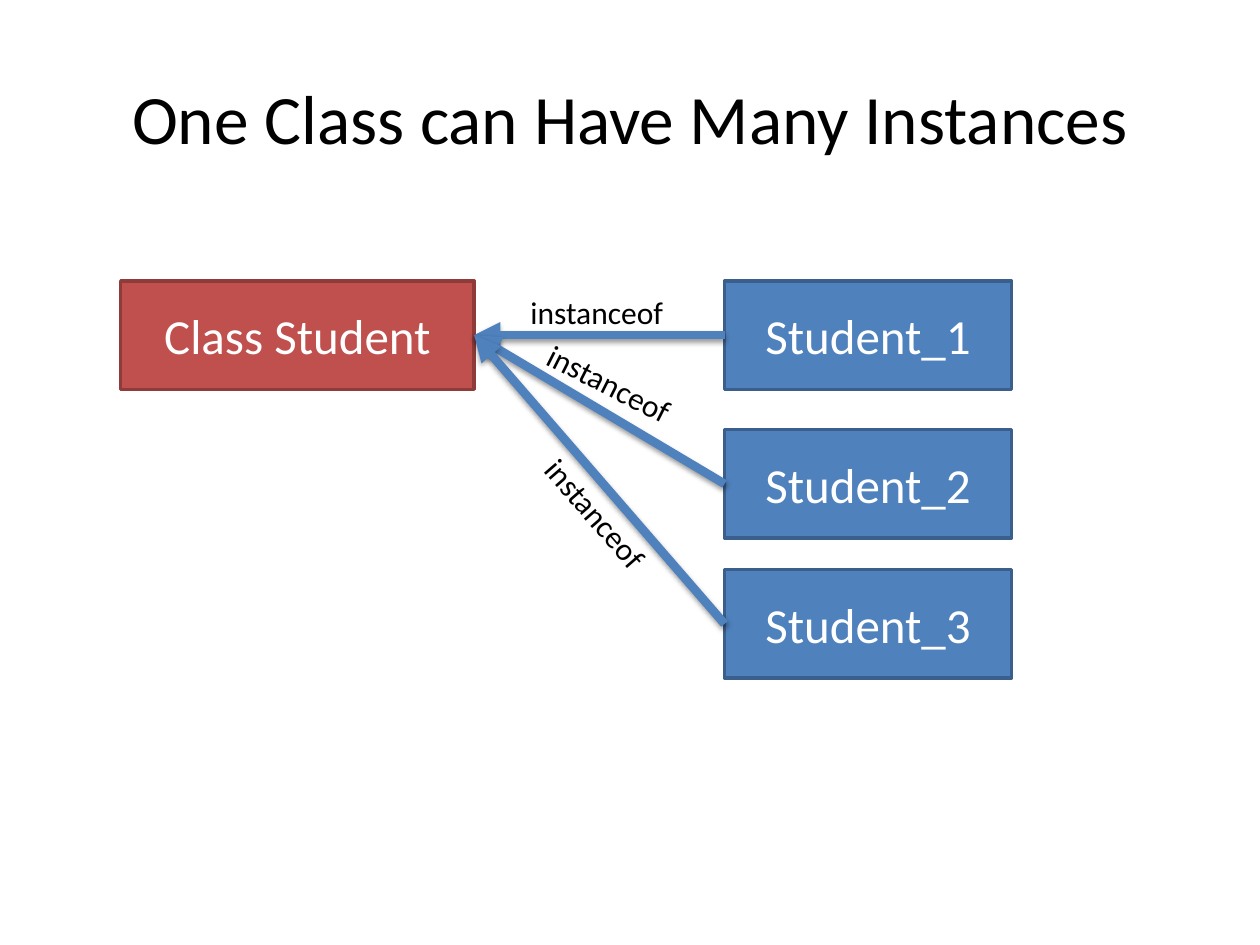
from lxml import etree
from pptx import Presentation
from pptx.dml.color import RGBColor
from pptx.enum.shapes import MSO_CONNECTOR, MSO_SHAPE
from pptx.enum.text import MSO_ANCHOR, MSO_AUTO_SIZE, PP_ALIGN
from pptx.oxml import parse_xml
from pptx.util import Pt

RECT, STRAIGHT = MSO_SHAPE.RECTANGLE, MSO_CONNECTOR.STRAIGHT
CENTER, LEFT, MIDDLE, TOP = PP_ALIGN.CENTER, PP_ALIGN.LEFT, MSO_ANCHOR.MIDDLE, MSO_ANCHOR.TOP
FIT = MSO_AUTO_SIZE.SHAPE_TO_FIT_TEXT
LEFT_SITE, RIGHT_SITE = 1, 3
NS = "http://schemas.openxmlformats.org/drawingml/2006/main"

TITLE = "One Class can Have Many Instances"
CLASS_NAME = "Class Student"
RELATION = "instanceof"
# name, box top, label left, label top, label rotation
INSTANCES = [
    ("Student_1", 160.5, 296, 164, 0),
    ("Student_2", 245.5, 303, 205, 27),
    ("Student_3", 325.5, 295, 279.5, 49),
]
CLASS_LEFT, CLASS_WIDTH = 69, 202
INSTANCE_LEFT, INSTANCE_WIDTH = 414, 164
BOX_HEIGHT = 62
LABEL_WIDTH, LABEL_HEIGHT = 92, 29
RED, RED_EDGE = "C0504D", "8E3B39"
BLUE, BLUE_EDGE = "4F81BD", "3A5F8C"
SHADOW = f"""<a:effectLst xmlns:a="{NS}">
<a:outerShdw blurRad="{Pt(3.1)}" dist="{Pt(1.6)}" dir="5400000" rotWithShape="0">
<a:srgbClr val="000000"><a:alpha val="38000"/></a:srgbClr>
</a:outerShdw></a:effectLst>"""


def rgb(color):
    """Turn a hex string into a colour."""
    return RGBColor.from_string(color)


def write(sp, text, size=18, color="000000", align=LEFT, anchor=TOP, wrap=True):
    """Put formatted text into a shape."""
    tf = sp.text_frame
    tf.word_wrap = wrap
    tf.vertical_anchor = anchor
    p = tf.paragraphs[0]
    p.alignment = align
    r = p.add_run()
    r.text = text
    r.font.name, r.font.size = "Calibri", Pt(size)
    r.font.color.rgb = rgb(color)


def add_box(s, text, left, top, width, fill, edge):
    """Add a labelled box for a class or an instance."""
    sp = s.shapes.add_shape(RECT, Pt(left), Pt(top), Pt(width), Pt(BOX_HEIGHT))
    sp.shadow.inherit = False
    sp.fill.solid()
    sp.fill.fore_color.rgb = rgb(fill)
    sp.line.color.rgb = rgb(edge)
    sp.line.width = Pt(2)
    write(sp, text, size=28, color="FFFFFF", align=CENTER, anchor=MIDDLE)
    return sp


def add_arrow(s, start, end):
    """Connect the left of one box to the right of another."""
    line = s.shapes.add_connector(STRAIGHT, 0, 0, 0, 0)
    line.begin_connect(start, LEFT_SITE)
    line.end_connect(end, RIGHT_SITE)
    line.line.color.rgb = rgb(BLUE)
    line.line.width = Pt(5)
    etree.SubElement(line.line._get_or_add_ln(), f"{{{NS}}}tailEnd", type="triangle")
    line._element.spPr.append(parse_xml(SHADOW))


def add_label(s, text, left, top, rotation):
    """Add a rotated label beside an arrow."""
    sp = s.shapes.add_textbox(Pt(left), Pt(top), Pt(LABEL_WIDTH), Pt(LABEL_HEIGHT))
    sp.rotation = rotation
    write(sp, text, wrap=False)
    sp.text_frame.auto_size = FIT


prs = Presentation()
prs.slide_width, prs.slide_height = Pt(720), Pt(540)
s = prs.slides.add_slide(prs.slide_layouts[5])

title = s.shapes.title
title.left, title.top, title.width, title.height = Pt(36), Pt(21.6), Pt(648), Pt(90)
write(title, TITLE, size=39.6, align=CENTER, anchor=MIDDLE)

class_box = add_box(s, CLASS_NAME, CLASS_LEFT, INSTANCES[0][1], CLASS_WIDTH, RED, RED_EDGE)
instance_boxes = [
    add_box(s, name, INSTANCE_LEFT, top, INSTANCE_WIDTH, BLUE, BLUE_EDGE)
    for name, top, *_ in INSTANCES
]
for box in instance_boxes:
    add_arrow(s, box, class_box)
for _, _, left, top, rotation in INSTANCES:
    add_label(s, RELATION, left, top, rotation)

prs.save("out.pptx")
